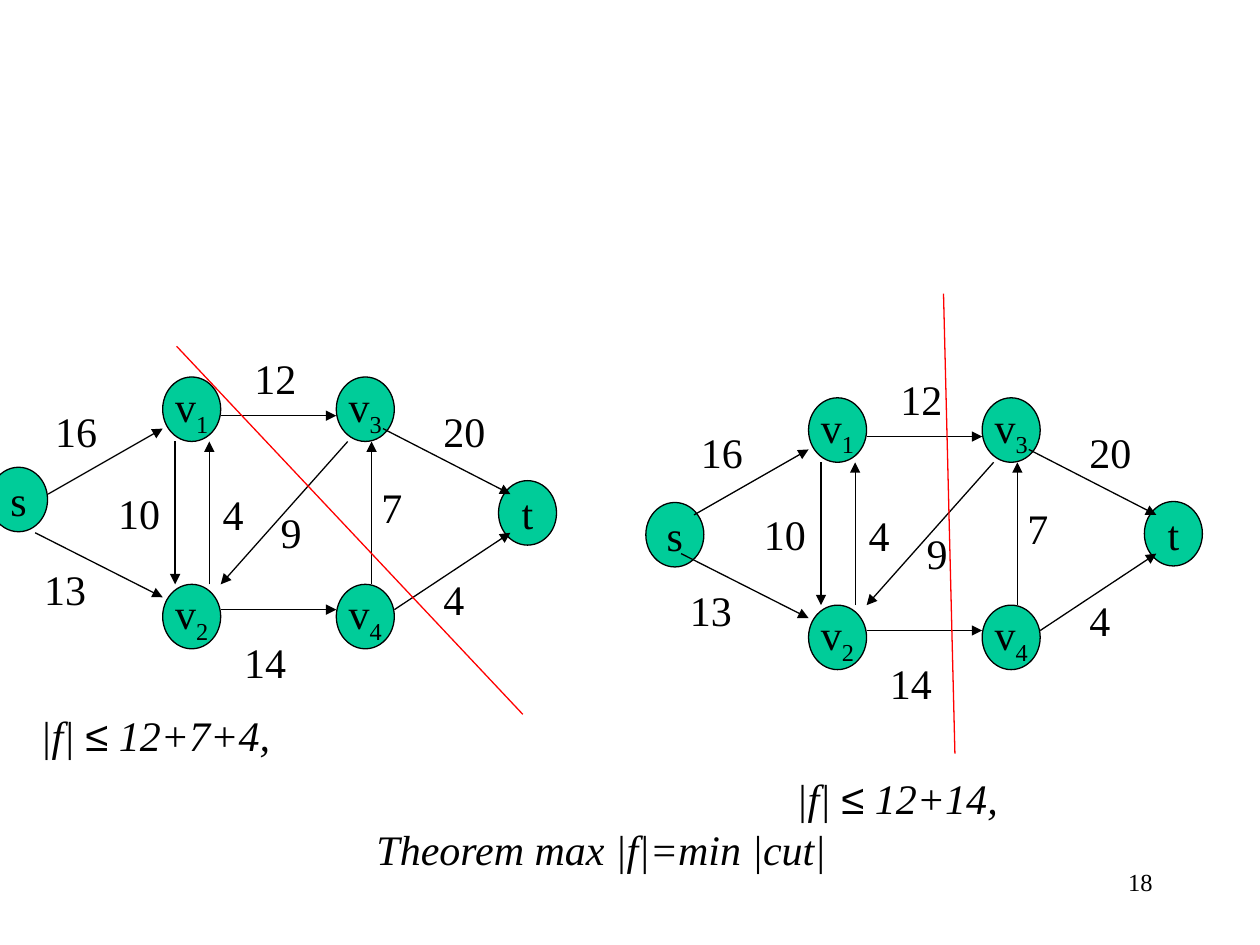
from dataclasses import dataclass

from lxml import etree
from pptx import Presentation
from pptx import util as u
from pptx.dml.color import RGBColor
from pptx.enum import shapes, text
from pptx.oxml import ns

COLORS = {"node": "00CC99", "ink": "000000", "cut": "FF0000"}
SERIF, SANS = "Times New Roman", "Arial"
NODE_W, NODE_H = 1.17, 1.3
LABEL_H = 1.27
LINE_WIDTH = u.Pt(0.75)

Point = tuple[float, float]


@dataclass
class Node:
    name: str
    at: Point
    index: str = ""


@dataclass
class Edge:
    start: Point
    end: Point
    capacity: str
    label_at: Point


@dataclass
class Network:
    offset: Point
    source: Node
    cut: tuple[Point, Point]


@dataclass
class Caption:
    at: Point
    width: float
    phrases: list[tuple[str, str]]


# Shared layout of both networks, in centimetres
LEFT, RIGHT, TOP, BOTTOM = 3.28, 6.78, 7.6, 11.78
ROW_END = TOP + NODE_H
NODES = [
    Node("v", (LEFT, TOP), "1"),
    Node("v", (LEFT, BOTTOM), "2"),
    Node("v", (RIGHT, TOP), "3"),
    Node("v", (RIGHT, BOTTOM), "4"),
    Node("t", (10.05, 9.69)),
]
EDGES = [
    Edge((0.97, 9.96), (LEFT, 8.64), "16", (0.86, 8.05)),
    Edge((0.71, 10.74), (LEFT, 12.04), "13", (0.64, 11.23)),
    Edge((LEFT + NODE_W, 8.38), (RIGHT, 8.38), "12", (4.88, 6.98)),
    Edge((LEFT + NODE_W, 12.29), (RIGHT, 12.29), "14", (4.67, 12.7)),
    Edge((3.53, ROW_END), (3.53, BOTTOM), "10", (2.13, 9.7)),
    Edge((4.22, BOTTOM), (4.22, ROW_END), "4", (4.24, 9.73)),
    Edge((7.01, ROW_END), (LEFT + NODE_W, BOTTOM), "9", (5.41, 10.08)),
    Edge((7.49, BOTTOM), (7.49, ROW_END), "7", (7.44, 9.58)),
    Edge((7.72, 8.64), (10.29, 9.96), "20", (8.69, 8.05)),
    Edge((RIGHT + NODE_W, 12.29), (10.29, 10.74), "4", (8.69, 11.43)),
]
NETWORKS = [
    Network((0, 0), Node("s", (-0.21, 9.42)), ((3.56, 6.98), (10.54, 14.4))),
    Network((13.02, 0.42), Node("s", (0, 9.71)), ((19.02, 5.92), (19.25, 15.19))),
]
CAPTIONS = [
    Caption((0.56, 14.17), 6.83, [("|f| ", SERIF), ("≤", SANS), (" 12+7+4,", SERIF)]),
    Caption((15.8, 15.44), 6.25, [("|f| ", SERIF), ("≤", SANS), (" 12+14,", SERIF)]),
    Caption((7.34, 16.48), 9.6, [("Theorem max |f|=min |cut|", SERIF)]),
]


def shift(point: Point, offset: Point) -> Point:
    return point[0] + offset[0], point[1] + offset[1]


def add_run(paragraph, words: str, **changes):
    run = paragraph.add_run()
    run.text = words
    font_format = {"name": SERIF, "size": u.Pt(24), "italic": False} | changes
    for attribute, value in font_format.items():
        setattr(run.font, attribute, value)
    run.font.color.rgb = RGBColor.from_string(COLORS["ink"])
    return run


def add_label(slide, at: Point, width: float):
    label = slide.shapes.add_textbox(*map(u.Cm, (*at, width, LABEL_H)))
    label.text_frame.word_wrap = False
    return label.text_frame.paragraphs[0]


def draw_node(slide, node: Node, offset: Point) -> None:
    at = shift(node.at, offset)
    circle = slide.shapes.add_shape(
        shapes.MSO_SHAPE.OVAL, *map(u.Cm, (*at, NODE_W, NODE_H)))
    circle.shadow.inherit = False
    circle.fill.solid()
    circle.fill.fore_color.rgb = RGBColor.from_string(COLORS["node"])
    circle.line.color.rgb = RGBColor.from_string(COLORS["ink"])
    circle.line.width = LINE_WIDTH
    frame_format = {"word_wrap": False, "vertical_anchor": text.MSO_ANCHOR.MIDDLE}
    for attribute, value in frame_format.items():
        setattr(circle.text_frame, attribute, value)
    paragraph = circle.text_frame.paragraphs[0]
    paragraph.alignment = text.PP_ALIGN.CENTER
    add_run(paragraph, node.name)
    if node.index:
        subscript = add_run(paragraph, node.index)
        subscript.font._element.set("baseline", "-25000")


def draw_line(slide, start: Point, end: Point, color: str, arrow: bool) -> None:
    line = slide.shapes.add_connector(
        shapes.MSO_CONNECTOR.STRAIGHT, *map(u.Cm, (*start, *end)))
    line.line.color.rgb = RGBColor.from_string(COLORS[color])
    line.line.width = LINE_WIDTH
    properties = line._element.spPr
    if arrow:
        outline = properties.find(ns.qn("a:ln"))
        etree.SubElement(outline, ns.qn("a:tailEnd"), type="triangle")
    etree.SubElement(properties, ns.qn("a:effectLst"))


def draw_network(slide, network: Network) -> None:
    for node in [network.source, *NODES]:
        draw_node(slide, node, network.offset)
    for edge in EDGES:
        draw_line(slide, shift(edge.start, network.offset),
                  shift(edge.end, network.offset), "ink", arrow=True)
    for edge in EDGES:
        width = 1.35 if len(edge.capacity) == 2 else 0.91
        add_run(add_label(slide, shift(edge.label_at, network.offset), width),
                edge.capacity)
    draw_line(slide, *network.cut, "cut", arrow=False)


def draw_caption(slide, caption: Caption) -> None:
    paragraph = add_label(slide, caption.at, caption.width)
    for words, font_name in caption.phrases:
        add_run(paragraph, words, name=font_name, italic=True)


def main() -> None:
    deck = Presentation()
    deck.slide_width, deck.slide_height = u.Cm(25.4), u.Cm(19.05)
    slide = deck.slides.add_slide(deck.slide_layouts[6])

    # Flow networks with their cuts
    for network in NETWORKS:
        draw_network(slide, network)

    # Bounds and theorem
    for caption in CAPTIONS:
        draw_caption(slide, caption)

    # Page number
    page_number = add_label(slide, (18.2, 17.35), 5.29)
    page_number.alignment = text.PP_ALIGN.RIGHT
    add_run(page_number, "18", size=u.Pt(14))

    deck.save("out.pptx")


if __name__ == "__main__":
    main()
